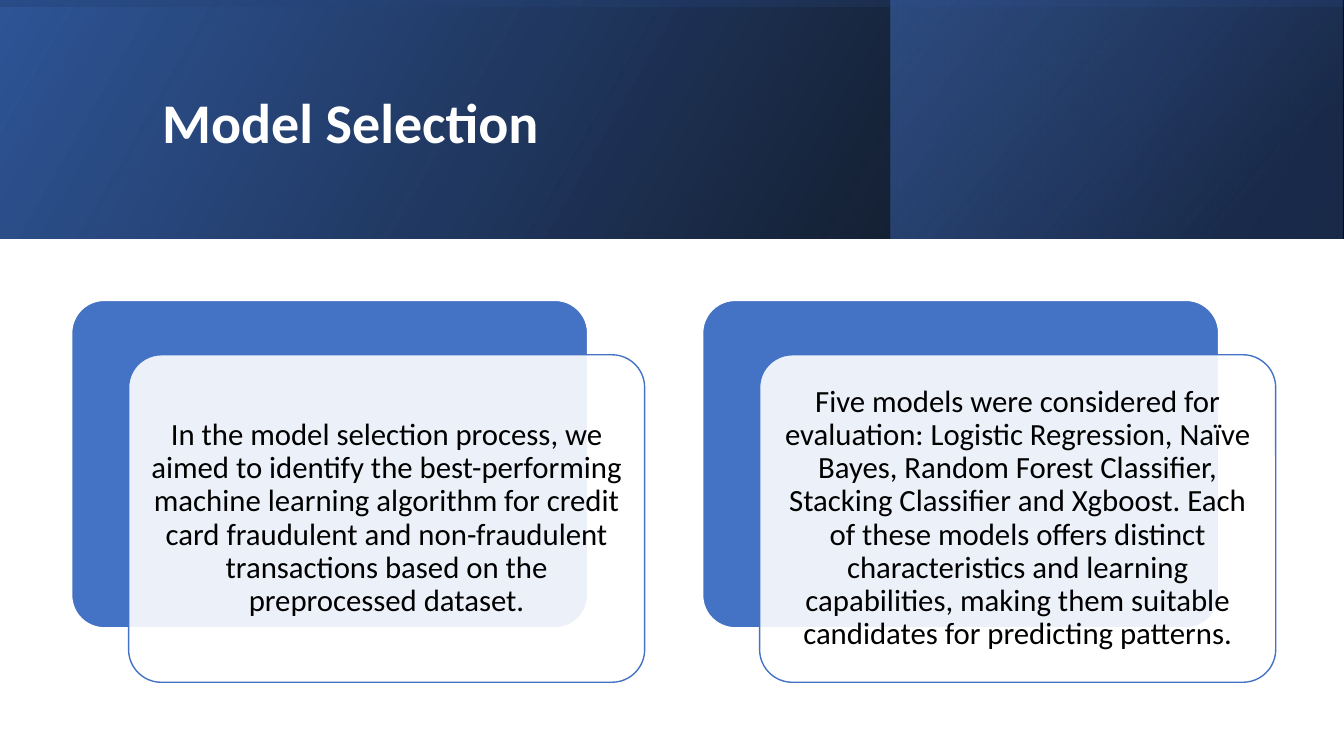
from lxml import etree
from pptx import Presentation
from pptx.dml.color import RGBColor
from pptx.enum.shapes import MSO_SHAPE
from pptx.enum.text import MSO_ANCHOR, PP_ALIGN
from pptx.oxml.ns import qn
from pptx.util import Inches, Pt

RECTANGLE = MSO_SHAPE.RECTANGLE
ROUNDED = MSO_SHAPE.ROUNDED_RECTANGLE
MIDDLE = MSO_ANCHOR.MIDDLE
LEFT = PP_ALIGN.LEFT
CENTER = PP_ALIGN.CENTER

WHITE, BLACK = "FFFFFF", "000000"
BLUE, DEEP_BLUE, NAVY = "4472C4", "2F5597", "203864"

CARD_TEXTS = [
    "In the model selection process, we aimed to identify the "
    "best-performing machine learning algorithm for credit card fraudulent "
    "and non-fraudulent transactions based on the preprocessed dataset.",
    "Five models were considered for evaluation: Logistic Regression, Naïve "
    "Bayes, Random Forest Classifier, Stacking Classifier and Xgboost. Each "
    "of these models offers distinct characteristics and learning "
    "capabilities, making them suitable candidates for predicting patterns.",
]


def color(value):
    return RGBColor.from_string(value)


def set_opacity(shape, percents):
    colors = shape._element.spPr.iter(qn("a:srgbClr"))
    for element, percent in zip(colors, percents):
        etree.SubElement(element, qn("a:alpha")).set("val", str(percent * 1000))


class SlideBuilder:
    font_name = "Calibri"

    def __init__(self, presentation):
        self.width = presentation.slide_width
        self.height = presentation.slide_height
        self.slide = presentation.slides.add_slide(presentation.slide_layouts[6])

    def box(self, left, top, width, height):
        return (round(left * self.width / 100), round(top * self.height / 100),
                round(width * self.width / 100), round(height * self.height / 100))

    def shape(self, kind, box):
        shape = self.slide.shapes.add_shape(kind, *box)
        shape.shadow.inherit = False
        return shape

    def gradient_band(self, box, stops, angle, turned=False):
        left, top, width, height = self.box(*box)
        if turned:
            left += (width - height) // 2
            top += (height - width) // 2
            width, height = height, width
        shape = self.shape(RECTANGLE, (left, top, width, height))
        shape._element.spPr.xfrm.set("flipH", "1")
        shape.rotation = 270 if turned else 0
        shape.line.fill.background()
        shape.fill.gradient()
        shape.fill.gradient_angle = angle
        for stop, (position, value, _) in zip(shape.fill.gradient_stops, stops):
            stop.position = position
            stop.color.rgb = color(value)
        set_opacity(shape, [opacity for _, _, opacity in stops])

    def panel(self, box, fill, line, opacity=100):
        shape = self.shape(ROUNDED, self.box(*box))
        shape.adjustments[0] = 0.1
        shape.fill.solid()
        shape.fill.fore_color.rgb = color(fill)
        if opacity < 100:
            set_opacity(shape, [opacity])
        shape.line.color.rgb = color(line)
        shape.line.width = Pt(1)
        return shape

    def set_text(self, shape, text, size, value, alignment, margin, bold=False):
        frame = shape.text_frame
        frame.word_wrap = True
        frame.vertical_anchor = MIDDLE
        frame.margin_left = frame.margin_right = Inches(margin)
        frame.margin_top = frame.margin_bottom = Inches(margin)
        paragraph = frame.paragraphs[0]
        paragraph.text = text
        paragraph.alignment = alignment
        paragraph.line_spacing = 0.9
        paragraph.font.name = self.font_name
        paragraph.font.size = Pt(size)
        paragraph.font.bold = bold
        paragraph.font.color.rgb = color(value)

    def title(self, box, text):
        text_box = self.slide.shapes.add_textbox(*self.box(*box))
        self.set_text(text_box, text, 40, WHITE, LEFT, 0.1, bold=True)

    def card(self, left, top, width, height, text):
        self.panel((left, top, width, height), BLUE, WHITE)
        front = self.panel((left + 4.24, top + 7.2, width, height), WHITE, BLUE, 90)
        self.set_text(front, text, 22, BLACK, CENTER, 0.09)


def main():
    presentation = Presentation()
    presentation.slide_width = Inches(13.33)
    presentation.slide_height = Inches(7.5)
    builder = SlideBuilder(presentation)

    header = (0, 0, 100, 31.6)
    builder.gradient_band(header, [(0, BLACK, 96), (1, DEEP_BLUE, 100)], 30)
    builder.gradient_band((66.3, 0, 33.6, 31.6),
                          [(0.19, NAVY, 68), (1, BLUE, 48)], 40)
    builder.gradient_band(header, [(0.23, DEEP_BLUE, 16), (0.99, BLACK, 45)],
                          10, turned=True)
    builder.title((11.33, 5.07, 79.73, 22.93), "Model Selection")

    for column, text in enumerate(CARD_TEXTS):
        builder.card(5.33 + column * 46.95, 39.73, 38.4, 43.33, text)

    presentation.save("out.pptx")


if __name__ == "__main__":
    main()
